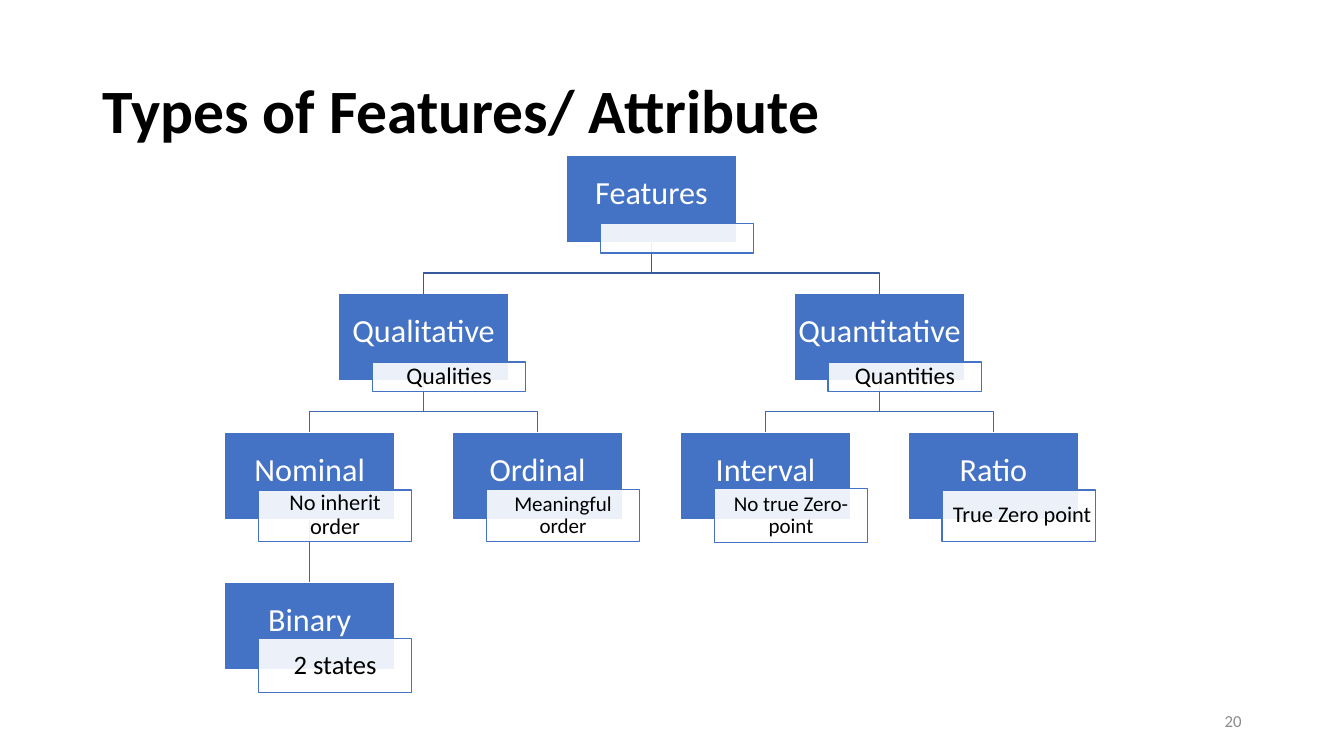
"""Build a slide with a tree of feature types."""
from lxml.etree import SubElement
from pptx import Presentation
from pptx.dml.color import RGBColor
from pptx.enum.shapes import MSO_CONNECTOR, MSO_SHAPE
from pptx.enum.text import MSO_ANCHOR, MSO_AUTO_SIZE, PP_ALIGN
from pptx.oxml.ns import qn
from pptx.util import Pt

TITLE = "Types of Features/ Attribute"
NUMBER = "20"
# name: (column, level, tag text, tag size, tag height)
NODES = {
    "Features": (1.5, 0, "", 17, 20.9),
    "Qualitative": (0.5, 1, "Qualities", 17, 20.9),
    "Quantitative": (2.5, 1, "Quantities", 17, 20.9),
    "Nominal": (0, 2, "No inherit order", 16, 36.7),
    "Ordinal": (1, 2, "Meaningful order", 15, 37.4),
    "Interval": (2, 2, "No true Zero-point", 15, 38.4),
    "Ratio": (3, 2, "True Zero point", 16, 36.7),
    "Binary": (0, 3, "2 states", 19, 38.9),
}
LINKS = [
    ("Features", "Qualitative"), ("Features", "Quantitative"),
    ("Qualitative", "Nominal"), ("Qualitative", "Ordinal"),
    ("Quantitative", "Interval"), ("Quantitative", "Ratio"),
    ("Nominal", "Binary"),
]
FONT = "Calibri"
BLUE = RGBColor(0x44, 0x72, 0xC4)
DARK = RGBColor(0x36, 0x5B, 0x9D)
MID = RGBColor(0x3E, 0x67, 0xB2)
WHITE = RGBColor(255, 255, 255)
BLACK = RGBColor(0, 0, 0)
GREY = RGBColor(0x8C, 0x8C, 0x8C)

LEFT, STEP = 160.4, 162.8
TOPS = [110.8, 209.7, 308.9, 416]
WIDE, HIGH = 121.7, 62.6
TAG_WIDE, TAG_IN, TAG_MID = 109.6, 24.2, 59.4
BEND = 21.6


def write(shape, text, size, color, align, insets=(7.2, 3.6, 7.2, 3.6),
          bold=False, tight=True):
    frame = shape.text_frame
    frame.word_wrap = True
    frame.auto_size = MSO_AUTO_SIZE.NONE
    frame.vertical_anchor = MSO_ANCHOR.MIDDLE
    (frame.margin_left, frame.margin_top,
     frame.margin_right, frame.margin_bottom) = map(Pt, insets)
    para = frame.paragraphs[0]
    para.text = text
    para.alignment = align
    if tight:
        para.line_spacing = 0.9
    font = para.font
    font.name, font.size, font.bold = FONT, Pt(size), bold
    font.color.rgb = color


def add_rect(slide, left, top, wide, high, fill, edge):
    rect = slide.shapes.add_shape(
        MSO_SHAPE.RECTANGLE, Pt(left), Pt(top), Pt(wide), Pt(high))
    rect.shadow.inherit = False
    rect.fill.solid()
    rect.fill.fore_color.rgb = fill
    rect.line.color.rgb = edge
    rect.line.width = Pt(1)
    return rect


def place(name):
    column, level = NODES[name][:2]
    return LEFT + column * STEP, TOPS[level]


def add_box(slide, name):
    box = add_rect(slide, *place(name), WIDE, HIGH, BLUE, WHITE)
    write(box, name, 23, WHITE, PP_ALIGN.CENTER, (1.4, 1.4, 1.4, 8.6))
    return box


def add_link(slide, boxes, start, end):
    upper, lower = boxes[start], boxes[end]
    x1, y1 = upper.left + upper.width // 2, upper.top + upper.height
    x2, y2 = lower.left + lower.width // 2, lower.top
    if x1 == x2:
        link = slide.shapes.add_connector(
            MSO_CONNECTOR.STRAIGHT, x1, y1, x2, y2)
        link.begin_connect(upper, 2)
        link.end_connect(lower, 0)
        SubElement(link._element.spPr, qn("a:effectLst"))
    else:
        bend = y1 + Pt(BEND)
        build = slide.shapes.build_freeform(x1, y1)
        build.add_line_segments([(x1, bend), (x2, bend), (x2, y2)],
                                close=False)
        link = build.convert_to_shape()
        link.fill.background()
        link.shadow.inherit = False
    link.line.color.rgb = DARK if start == "Features" else MID
    link.line.width = Pt(1)


def add_tag(slide, name):
    text, size, high = NODES[name][2:]
    left, top = place(name)
    tag = add_rect(slide, left + TAG_IN, top + TAG_MID - high / 2,
                   TAG_WIDE, high, WHITE, BLUE)
    color = tag.fill._xPr.find(qn("a:solidFill"))[0]
    SubElement(color, qn("a:alpha"), val="90000")
    if text:
        align = PP_ALIGN.RIGHT if name == "Ratio" else PP_ALIGN.CENTER
        write(tag, text, size, BLACK, align, (3, 0.7, 3, 0.7))


def main():
    deck = Presentation()
    deck.slide_width, deck.slide_height = Pt(960), Pt(540)
    slide = deck.slides.add_slide(deck.slide_layouts[5])
    title = slide.shapes.title
    title.left, title.top = Pt(66), Pt(28.8)
    title.width, title.height = Pt(828), Pt(104.4)
    write(title, TITLE, 44, BLACK, PP_ALIGN.LEFT, bold=True)
    number = slide.shapes.add_textbox(Pt(678), Pt(500.5), Pt(216), Pt(28.8))
    write(number, NUMBER, 12, GREY, PP_ALIGN.RIGHT, tight=False)

    boxes = {name: add_box(slide, name) for name in NODES}
    for start, end in LINKS:
        add_link(slide, boxes, start, end)
    for name in NODES:
        add_tag(slide, name)
    deck.save("out.pptx")


if __name__ == "__main__":
    main()
